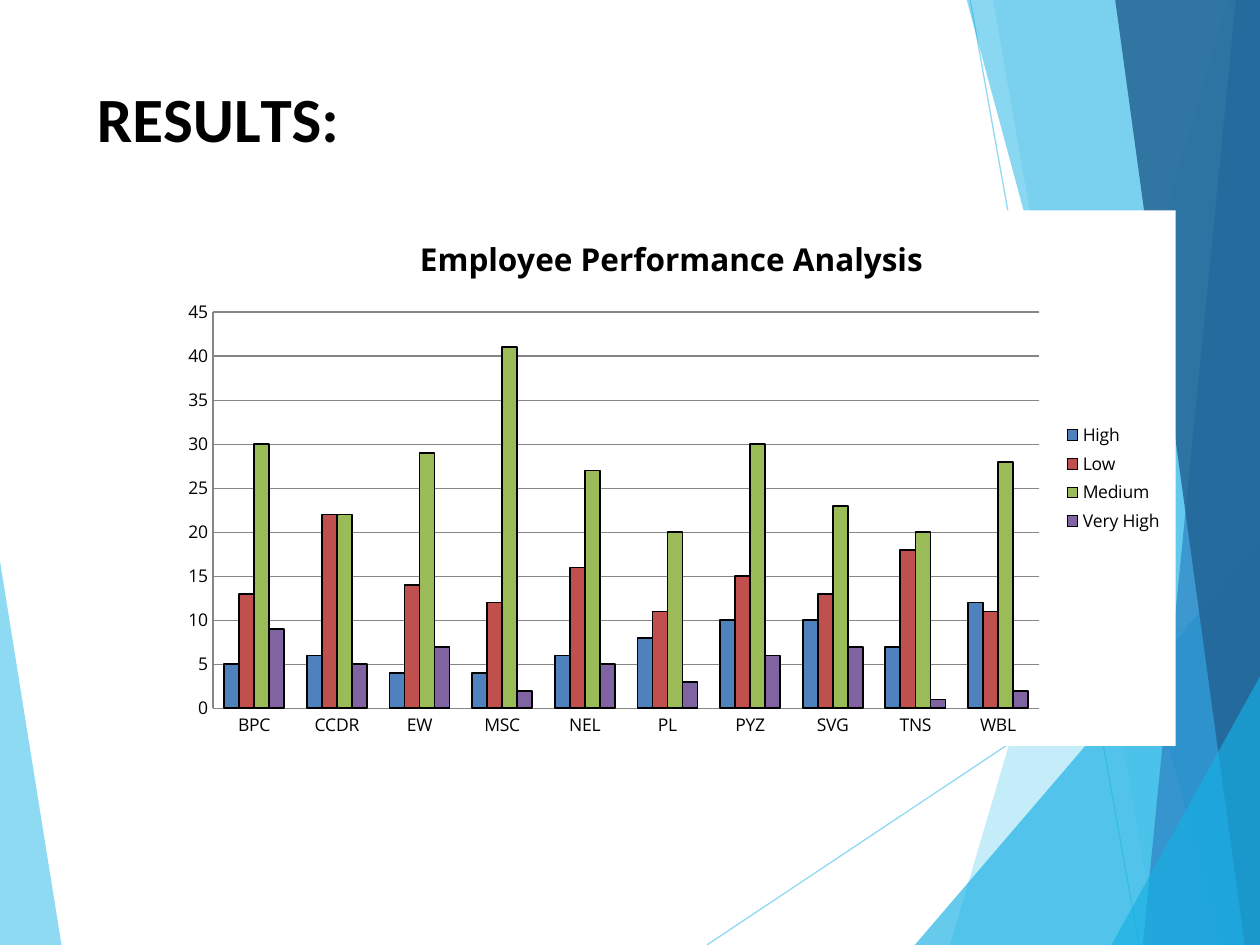
import pptx
import pptx.chart.data
import pptx.dml.color
import pptx.enum.chart
import pptx.enum.shapes
import pptx.enum.text
import pptx.oxml
import pptx.oxml.ns
import pptx.util
from dataclasses import dataclass

Inches = pptx.util.Inches
Pt = pptx.util.Pt
qn = pptx.oxml.ns.qn
NAMESPACES = pptx.oxml.ns.nsdecls("a", "c")


@dataclass(frozen=True)
class Theme:
    sky: str = "5FCBEF"
    cyan: str = "17B0E4"
    blue: str = "2E83C3"
    navy: str = "226292"
    ink: str = "000000"
    paper: str = "FFFFFF"
    grid: str = "868686"
    series: tuple = ("4F81BD", "C0504D", "9BBB59", "8064A2")
    heading_font: str = "Calibri"
    chart_font: str = "Open Sans"
    heading_size: float = 36
    chart_title_size: float = 18
    label_size: float = 10


def rgb(color):
    return pptx.dml.color.RGBColor.from_string(color)


def set_font(font, name, size, color, bold=False):
    font.name, font.size, font.bold = name, Pt(size), bold
    font.color.rgb = rgb(color)


def set_alpha(properties, percent):
    color = next(properties.iter(qn("a:srgbClr")))
    pptx.oxml.ns.qn("a:alpha")
    color.append(pptx.oxml.parse_xml(f'<a:alpha {NAMESPACES} val="{percent * 1000}"/>'))


def area_fill(color):
    return pptx.oxml.parse_xml(
        f'<c:spPr {NAMESPACES}><a:solidFill><a:srgbClr val="{color}"/></a:solidFill>'
        "<a:ln><a:noFill/></a:ln></c:spPr>")


class SlideBuilder:
    def __init__(self, slide, theme):
        self.slide, self.theme = slide, theme

    def facet(self, points, color, opacity):
        corners = [(Inches(x), Inches(y)) for x, y in points]
        outline = self.slide.shapes.build_freeform(*corners[0])
        outline.add_line_segments(corners[1:], close=True)
        shape = outline.convert_to_shape()
        shape.shadow.inherit = False
        shape.fill.solid()
        shape.fill.fore_color.rgb = rgb(color)
        set_alpha(shape._element.spPr, opacity)
        shape.line.fill.background()

    def line(self, start, end, color, opacity):
        connector = self.slide.shapes.add_connector(
            pptx.enum.shapes.MSO_CONNECTOR.STRAIGHT,
            *(Inches(value) for value in (*start, *end)))
        connector.line.color.rgb = rgb(color)
        connector.line.width = Pt(0.75)
        properties = connector._element.spPr
        set_alpha(properties, opacity)
        properties.append(pptx.oxml.parse_xml(f"<a:effectLst {NAMESPACES}/>"))

    def heading(self, frame, spans):
        box = self.slide.shapes.add_textbox(*(Inches(value) for value in frame))
        box.text_frame.word_wrap = True
        box.text_frame.auto_size = pptx.enum.text.MSO_AUTO_SIZE.SHAPE_TO_FIT_TEXT
        para = box.text_frame.paragraphs[0]
        set_font(para.font, self.theme.heading_font, self.theme.heading_size,
                 self.theme.ink, bold=True)
        for text, spacing in spans:
            span = para.add_run()
            span.text = text
            span._r.get_or_add_rPr().set("spc", str(round(spacing * 100)))

    def column_chart(self, frame, title, categories, series, plot_layout):
        theme = self.theme
        data = pptx.chart.data.CategoryChartData()
        data.categories = categories
        for name, values in series.items():
            data.add_series(name, values)
        chart = self.slide.shapes.add_chart(
            pptx.enum.chart.XL_CHART_TYPE.COLUMN_CLUSTERED,
            *(Inches(value) for value in frame), data).chart
        label_style = (theme.chart_font, theme.label_size, theme.ink)
        set_font(chart.font, *label_style)

        chart.has_title = True
        para = chart.chart_title.text_frame.paragraphs[0]
        para.text = title
        set_font(para.font, theme.chart_font, theme.chart_title_size, theme.ink, bold=True)
        chart.chart_title.include_in_layout = False

        chart.has_legend = True
        chart.legend.position = pptx.enum.chart.XL_LEGEND_POSITION.RIGHT
        chart.legend.include_in_layout = False
        set_font(chart.legend.font, *label_style)

        for axis in (chart.category_axis, chart.value_axis):
            axis.major_tick_mark = pptx.enum.chart.XL_TICK_MARK.NONE
            axis.minor_tick_mark = pptx.enum.chart.XL_TICK_MARK.NONE
            axis.format.line.color.rgb = rgb(theme.grid)
            set_font(axis.tick_labels.font, *label_style)
        values = chart.value_axis
        values.minimum_scale, values.maximum_scale, values.major_unit = 0, 45, 5
        values.has_major_gridlines = True
        values.major_gridlines.format.line.color.rgb = rgb(theme.grid)

        plot = chart.plots[0]
        plot.gap_width, plot.overlap, plot.vary_by_categories = 150, 0, False
        for column, color in zip(plot.series, theme.series):
            column.format.fill.solid()
            column.format.fill.fore_color.rgb = rgb(color)
            column.format.line.color.rgb = rgb(theme.ink)
            column.format.line.width = Pt(1)

        space = chart._chartSpace
        space.find(qn("c:txPr")).addprevious(area_fill(theme.paper))
        plot_area = space.chart.plotArea
        for layout in plot_area.findall(qn("c:layout")):
            plot_area.remove(layout)
        sizes = "".join(f'<c:{key} val="{value}"/>'
                        for key, value in zip("xywh", plot_layout))
        plot_area.insert(0, pptx.oxml.parse_xml(
            f'<c:layout {NAMESPACES}><c:manualLayout><c:layoutTarget val="inner"/>'
            f'<c:xMode val="edge"/><c:yMode val="edge"/>{sizes}'
            "</c:manualLayout></c:layout>"))
        plot_area.append(area_fill(theme.paper))


def main():
    theme = Theme()
    deck = pptx.Presentation()
    deck.slide_width, deck.slide_height = Inches(10), Inches(7.5)
    page = SlideBuilder(deck.slides.add_slide(deck.slide_layouts[6]), theme)

    page.facet([(-0.01, 4.39), (0.49, 7.51), (-0.01, 7.5)], theme.sky, 70)
    page.line((5.61, 7.5), (10.01, 4.57), theme.sky, 70)
    page.line((7.7, 0), (9.04, 7.5), theme.sky, 70)
    right, top, bottom = 10.01, -0.01, 7.5
    for upper, lower, upper_y, color, opacity in (
        (9.75, 7.54, top, theme.sky, 36),
        (7.88, 9.19, top, theme.sky, 20),
        (right, 7.26, 4.29, theme.cyan, 66),
        (7.67, 9.7, top, theme.cyan, 50),
        (9.81, 9.07, top, theme.blue, 70),
        (8.85, 9.88, top, theme.navy, 82),
        (right, 8.82, 5.35, theme.cyan, 66),
    ):
        points = [(upper, upper_y), (lower, bottom), (right, bottom)]
        if upper < right:
            points.append((right, upper_y))
        page.facet(points, color, opacity)

    page.heading((0.67, 0.58, 2.92, 0.71),
                 [("R", 0), ("E", -0.4), ("S", 0.1), ("U", -0.3), ("L", -4), ("TS:", 0)])
    page.column_chart(
        (1.33, 1.67, 8, 4.25), "Employee Performance Analysis",
        ["BPC", "CCDR", "EW", "MSC", "NEL", "PL", "PYZ", "SVG", "TNS", "WBL"],
        {"High": [5, 6, 4, 4, 6, 8, 10, 10, 7, 12],
         "Low": [13, 22, 14, 12, 16, 11, 15, 13, 18, 11],
         "Medium": [30, 22, 29, 41, 27, 20, 30, 23, 20, 28],
         "Very High": [9, 5, 7, 2, 5, 3, 6, 7, 1, 2]},
        plot_layout=(0.045, 0.19, 0.82, 0.74))
    deck.save("out.pptx")


if __name__ == "__main__":
    main()
